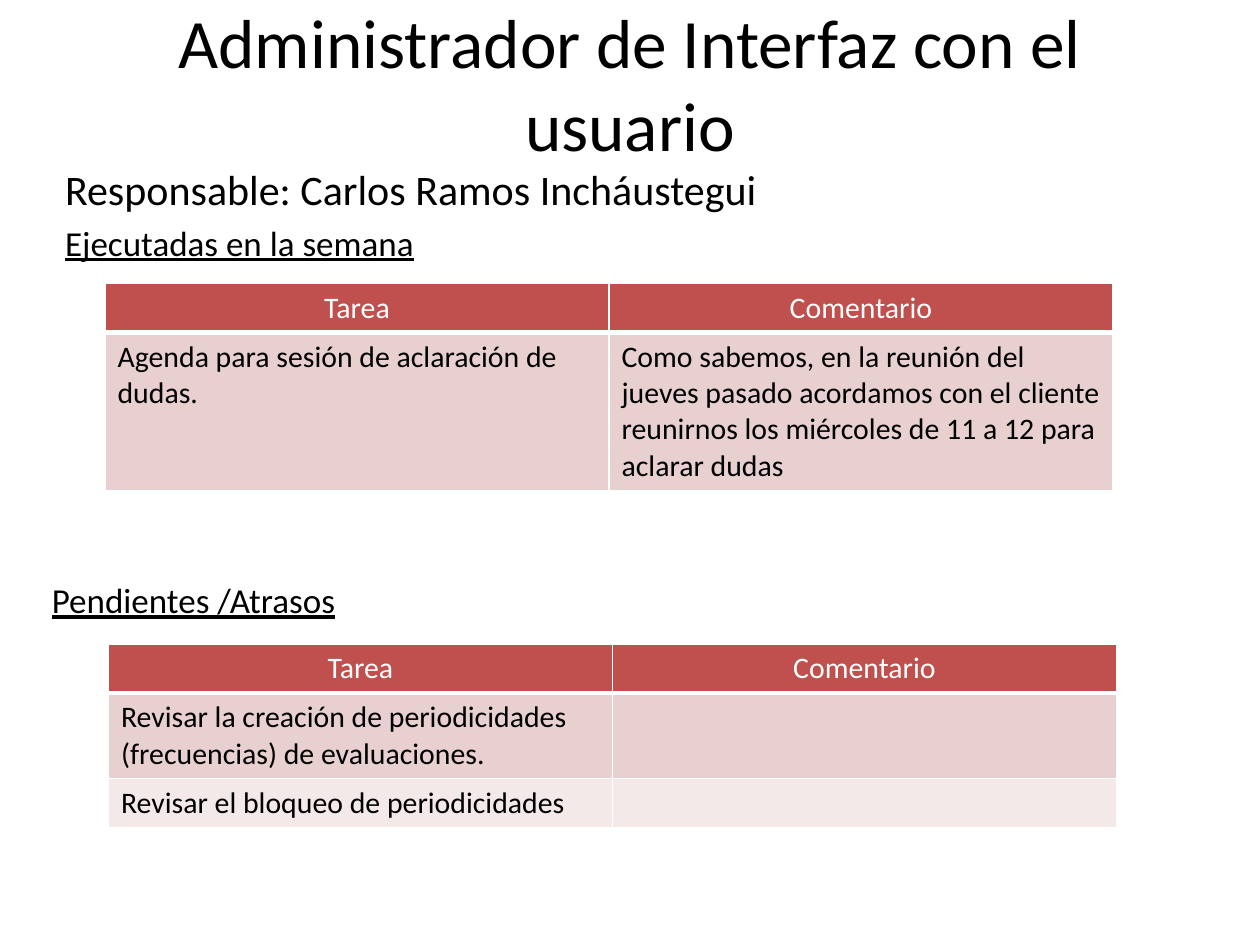
"""Build a weekly status slide with two task tables."""
from dataclasses import dataclass
from lxml import etree
from pptx import Presentation
from pptx.dml.color import RGBColor
from pptx.enum.text import MSO_ANCHOR, MSO_AUTO_SIZE, PP_ALIGN
from pptx.oxml.ns import qn
from pptx.util import Pt

CENTER, LEFT = PP_ALIGN.CENTER, PP_ALIGN.LEFT
MIDDLE, TOP = MSO_ANCHOR.MIDDLE, MSO_ANCHOR.TOP
FIXED = MSO_AUTO_SIZE.NONE
BLACK = RGBColor(0x00, 0x00, 0x00)
WHITE = RGBColor(0xFF, 0xFF, 0xFF)
RED = RGBColor(0xC0, 0x50, 0x4D)
BANDS = (RGBColor(0xE8, 0xD0, 0xD0), RGBColor(0xF4, 0xE9, 0xE9))
FONT = "Calibri"
HEADS = ("Tarea", "Comentario")
HEAD, WIDE = 27, 288


@dataclass
class Line:
    text: str
    size: float
    under: bool = False


@dataclass
class Row:
    cells: tuple[str, str]
    height: float


@dataclass
class Grid:
    left: float
    top: float
    rows: list[Row]


GRIDS = [
    Grid(60, 162, [Row((
        "Agenda para sesión de aclaración de dudas.",
        "Como sabemos, en la reunión del jueves pasado acordamos con el cliente "
        "reunirnos los miércoles de 11 a 12 para aclarar dudas"), 90)]),
    Grid(62, 368, [
        Row(("Revisar la creación de periodicidades (frecuencias) de evaluaciones.", ""), 49),
        Row(("Revisar el bloqueo de periodicidades", ""), HEAD)]),
]


def place(shape, left: float, top: float, width: float, height: float) -> None:
    shape.left, shape.top = Pt(left), Pt(top)
    shape.width, shape.height = Pt(width), Pt(height)


def style(para, size: float, color: RGBColor, align=LEFT, under: bool = False) -> None:
    para.alignment = align
    font = para.font
    font.name, font.size, font.bold = FONT, Pt(size), False
    font.underline = under
    font.color.rgb = color


def write(shape, lines: list[Line]) -> None:
    frame = shape.text_frame
    frame.word_wrap, frame.auto_size = True, FIXED
    frame.vertical_anchor = TOP
    frame.text = "\n".join(line.text for line in lines)
    for para, line in zip(frame.paragraphs, lines):
        style(para, line.size, BLACK, under=line.under)
        para.space_before = Pt(line.size * 0.2)
        props = para._p.get_or_add_pPr()
        props.set("marL", str(Pt(27)))
        props.set("indent", str(Pt(-27)))
        props.insert_element_before(
            etree.Element(qn("a:buNone")), "a:tabLst", "a:defRPr", "a:extLst")


def edge(cell, base: float) -> None:
    props = cell._tc.get_or_add_tcPr()
    for tag, width in (("lnL", 1), ("lnR", 1), ("lnT", 1), ("lnB", base)):
        line = etree.SubElement(props, qn("a:" + tag), w=str(Pt(width)))
        fill = etree.SubElement(line, qn("a:solidFill"))
        etree.SubElement(fill, qn("a:srgbClr"), val=str(WHITE))


def draw(slide, grid: Grid) -> None:
    rows = [Row(HEADS, HEAD), *grid.rows]
    table = slide.shapes.add_table(
        len(rows), len(HEADS), Pt(grid.left), Pt(grid.top),
        Pt(WIDE * len(HEADS)), Pt(sum(row.height for row in rows))).table
    for r, row in enumerate(rows):
        table.rows[r].height = Pt(row.height)
        for c, text in enumerate(row.cells):
            cell = table.cell(r, c)
            cell.text = text
            edge(cell, 1 if r else 3)
            cell.fill.solid()
            cell.fill.fore_color.rgb = BANDS[(r - 1) % 2] if r else RED
            style(cell.text_frame.paragraphs[0], 17,
                  BLACK if r else WHITE, LEFT if r else CENTER)


def main() -> None:
    deck = Presentation()
    deck.slide_width, deck.slide_height = Pt(720), Pt(540)
    slide = deck.slides.add_slide(deck.slide_layouts[1])
    title, body = slide.placeholders
    place(title, 36, 21.6, 648, 50.4)
    frame = title.text_frame
    frame.text = "Administrador de Interfaz con el usuario"
    frame.word_wrap, frame.auto_size = True, FIXED
    frame.vertical_anchor = MIDDLE
    style(frame.paragraphs[0], 39.6, BLACK, CENTER)
    place(body, 30, 90, 672, 66)
    write(body, [Line("Responsable: Carlos Ramos Incháustegui", 24),
                 Line("Ejecutadas en la semana", 20, True)])
    label = slide.shapes.add_textbox(Pt(22.5), Pt(327), Pt(672), Pt(42))
    write(label, [Line("Pendientes /Atrasos", 20, True)])
    for grid in GRIDS:
        draw(slide, grid)
    deck.save("out.pptx")


main()
